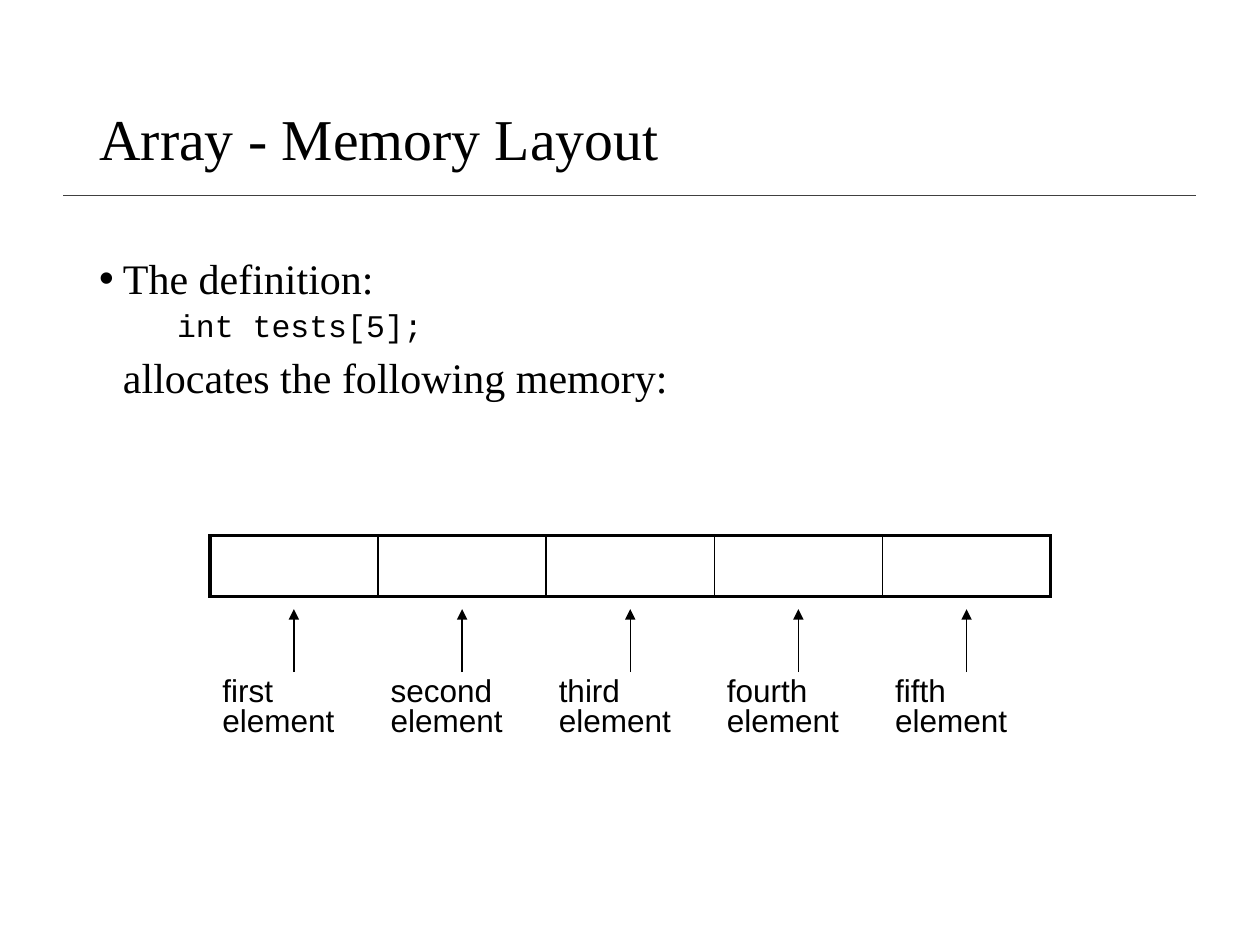
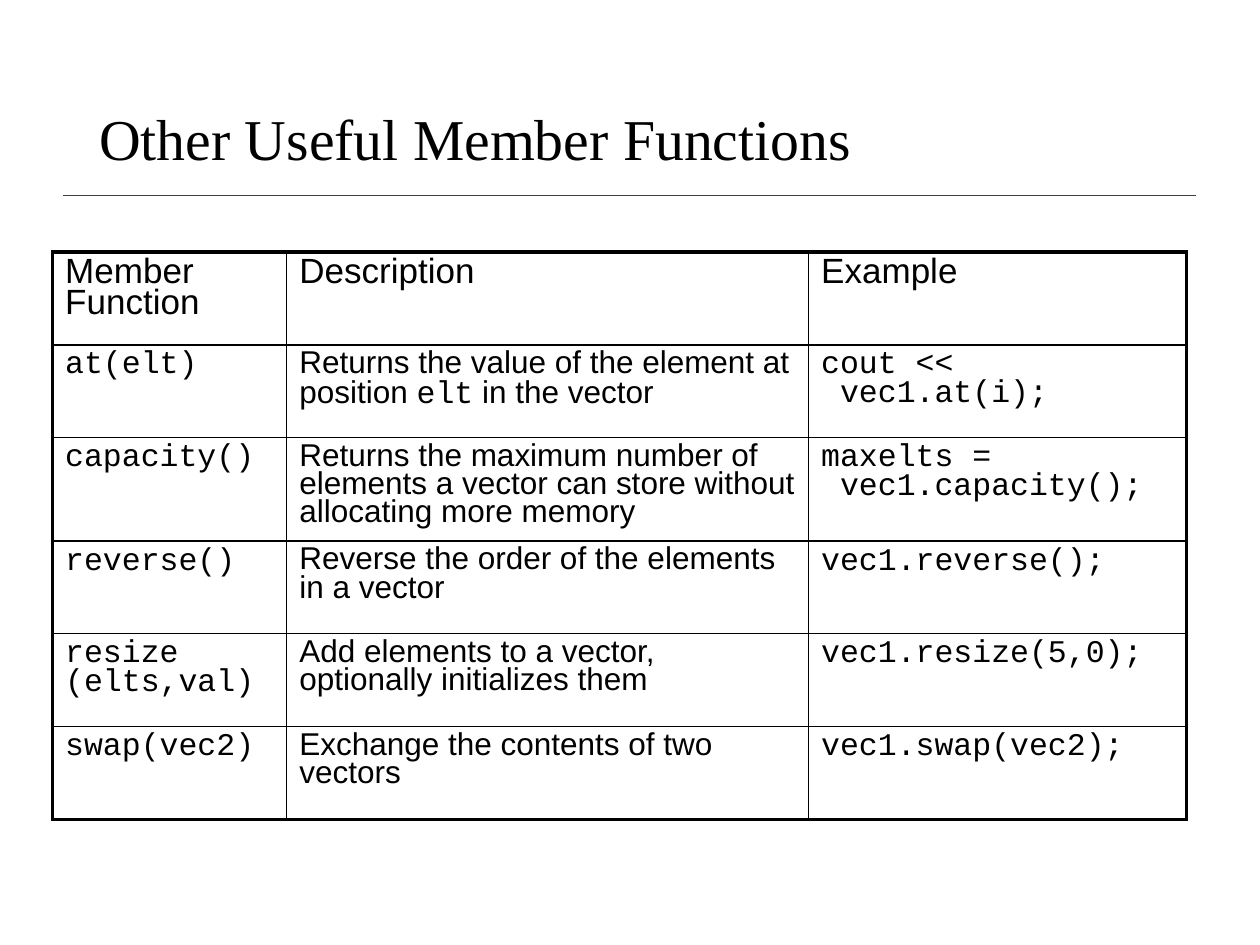
from lxml import etree
from pptx import Presentation
from pptx.dml.color import RGBColor
from pptx.enum.shapes import MSO_CONNECTOR
from pptx.enum.text import MSO_ANCHOR
from pptx.oxml.ns import qn
from pptx.util import Cm, Pt

STRAIGHT = MSO_CONNECTOR.STRAIGHT
TOP, MIDDLE = MSO_ANCHOR.TOP, MSO_ANCHOR.MIDDLE

COLORS = {"text": "000000", "rule": "404040", "border": "000000"}
SERIF, SANS, MONO = "Times New Roman", "Arial", "Courier New"
PLAIN_TABLE = "{2D5ABB26-0587-4C30-8999-92F81FD0307C}"
THICK, THIN = 2.25, 1

# Shared title and body box
TEXT_LEFT, TEXT_WIDTH = 1.75, 21.9

# Memory diagram
ORDINALS = ["first", "second", "third", "fourth", "fifth"]
ARRAY_LEFT, ELEMENT_WIDTH = 4.23, 3.39
ARRAY_TOP, ARRAY_HEIGHT = 10.8, 1.22
ARROW_TOP, LABEL_TOP, LABEL_HEIGHT = 12.28, 13.55, 2.33

# Member function table; backticks mark code inside a description
HEADINGS = ["Member\nFunction", "Description", "Example"]
FUNCTIONS = [
    ("at(elt)",
     "Returns the value of the element at position `elt` in the vector",
     "cout <<\n vec1.at(i);"),
    ("capacity()",
     "Returns the maximum number of elements a vector can store without "
     "allocating more memory",
     "maxelts =\n vec1.capacity();"),
    ("reverse()",
     "Reverse the order of the elements in a vector",
     "vec1.reverse();"),
    ("resize\n(elts,val)",
     "Add elements to a vector, optionally initializes them",
     "vec1.resize(5,0);"),
    ("swap(vec2)",
     "Exchange the contents of two vectors",
     "vec1.swap(vec2);"),
]
COLUMN_FONTS = [MONO, SANS, MONO]
COLUMN_WIDTHS = [4.72, 10.52, 7.62]
ROW_HEIGHTS = [1.87, 1.87, 2.08, 1.87, 1.87, 1.87]


def add_run(p, text, font, size):
    r = p.add_run()
    r.text = text
    for name, value in {"name": font, "size": Pt(size)}.items():
        setattr(r.font, name, value)
    r.font.color.rgb = RGBColor.from_string(COLORS["text"])


def add_text_box(s, top, height, anchor=TOP):
    box = s.shapes.add_textbox(Cm(TEXT_LEFT), Cm(top), Cm(TEXT_WIDTH), Cm(height))
    tf = box.text_frame
    tf.word_wrap = True
    tf.vertical_anchor = anchor
    return tf


def add_line(s, x1, y1, x2, y2, color, width, arrow=False):
    line = s.shapes.add_connector(STRAIGHT, Cm(x1), Cm(y1), Cm(x2), Cm(y2))
    line.line.color.rgb = RGBColor.from_string(color)
    line.line.width = Pt(width)
    if arrow:
        etree.SubElement(line.line._get_or_add_ln(), qn("a:tailEnd"), type="triangle")
    etree.SubElement(line._element.spPr, qn("a:effectLst"))


def add_titled_slide(prs, title):
    s = prs.slides.add_slide(prs.slide_layouts[6])
    add_line(s, 1.27, 3.94, 24.1, 3.94, COLORS["rule"], 1)
    p = add_text_box(s, 1.02, 3.68, MIDDLE).paragraphs[0]
    p.line_spacing = 0.9
    add_run(p, title, SERIF, 33)
    return s


def add_body_line(p, text, font, size, before, margin, bullet=None):
    p.line_spacing = 0.9
    p.space_before = Pt(before)
    add_run(p, text, font, size)
    pPr = p._p.get_or_add_pPr()
    pPr.set("marL", str(Cm(margin)))
    pPr.set("indent", str(-Cm(margin) if bullet else 0))
    if bullet:
        etree.SubElement(pPr, qn("a:buFont"), typeface=SANS)
        etree.SubElement(pPr, qn("a:buChar"), char=bullet)


def add_plain_table(s, left, top, widths, heights):
    frame = s.shapes.add_table(len(heights), len(widths), Cm(left), Cm(top),
                               Cm(sum(widths)), Cm(sum(heights)))
    table = frame.table
    table.first_row = table.horz_banding = False
    table._tbl.tblPr.find(qn("a:tableStyleId")).text = PLAIN_TABLE
    for column, width in zip(table.columns, widths):
        column.width = Cm(width)
    for row, height in zip(table.rows, heights):
        row.height = Cm(height)
    for cell in table.iter_cells():
        cell.fill.background()
    return table


def frame_table(table):
    """Thick lines around the table, thin lines between its cells."""
    last_row, last_column = len(table.rows) - 1, len(table.columns) - 1
    for i, row in enumerate(table.rows):
        for j, cell in enumerate(row.cells):
            outer = {"lnL": j == 0, "lnR": j == last_column,
                     "lnT": i == 0, "lnB": i == last_row}
            tcPr = cell._tc.get_or_add_tcPr()
            for position, (side, is_outer) in enumerate(outer.items()):
                width = Pt(THICK if is_outer else THIN)
                ln = etree.Element(qn(f"a:{side}"), w=str(width))
                fill = etree.SubElement(ln, qn("a:solidFill"))
                etree.SubElement(fill, qn("a:srgbClr"), val=COLORS["border"])
                tcPr.insert(position, ln)


def write_cell(cell, text, font, size, spacing):
    tf = cell.text_frame
    for i, line in enumerate(text.split("\n")):
        p = tf.add_paragraph() if i else tf.paragraphs[0]
        p.line_spacing = spacing
        for k, part in enumerate(line.split("`")):
            add_run(p, part, MONO if k % 2 else font, size)


def build_memory_layout(prs):
    s = add_titled_slide(prs, "Array - Memory Layout")

    # Definition
    tf = add_text_box(s, 5.08, 12.09)
    add_body_line(tf.paragraphs[0], "The definition:", SERIF, 24, 7.5, 0.48, "•")
    add_body_line(tf.add_paragraph(), "int tests[5];", MONO, 18, 3.8, 1.57)
    add_body_line(tf.add_paragraph(), "allocates the following memory:",
                  SERIF, 24, 7.5, 0.48)

    # Array elements and their labels
    widths = [ELEMENT_WIDTH] * len(ORDINALS)
    frame_table(add_plain_table(s, ARRAY_LEFT, ARRAY_TOP, widths, [ARRAY_HEIGHT]))
    labels = add_plain_table(s, ARRAY_LEFT, LABEL_TOP, widths, [LABEL_HEIGHT])
    for i, ordinal in enumerate(ORDINALS):
        write_cell(labels.cell(0, i), f"{ordinal} element", SANS, 18, 0.85)
        x = ARRAY_LEFT + (i + 0.5) * ELEMENT_WIDTH
        add_line(s, x, LABEL_TOP, x, ARROW_TOP, COLORS["border"], 0.75, arrow=True)


def build_member_functions(prs):
    s = add_titled_slide(prs, "Other Useful Member Functions")
    table = add_plain_table(s, 1.06, 5.08, COLUMN_WIDTHS, ROW_HEIGHTS)
    frame_table(table)
    for j, heading in enumerate(HEADINGS):
        write_cell(table.cell(0, j), heading, SANS, 20, 0.8)
    for i, function in enumerate(FUNCTIONS, start=1):
        for j, (text, font) in enumerate(zip(function, COLUMN_FONTS)):
            write_cell(table.cell(i, j), text, font, 18, 0.8)


def main():
    prs = Presentation()
    prs.slide_width, prs.slide_height = Cm(25.4), Cm(19.05)
    build_memory_layout(prs)
    build_member_functions(prs)
    prs.save("out.pptx")


if __name__ == "__main__":
    main()
